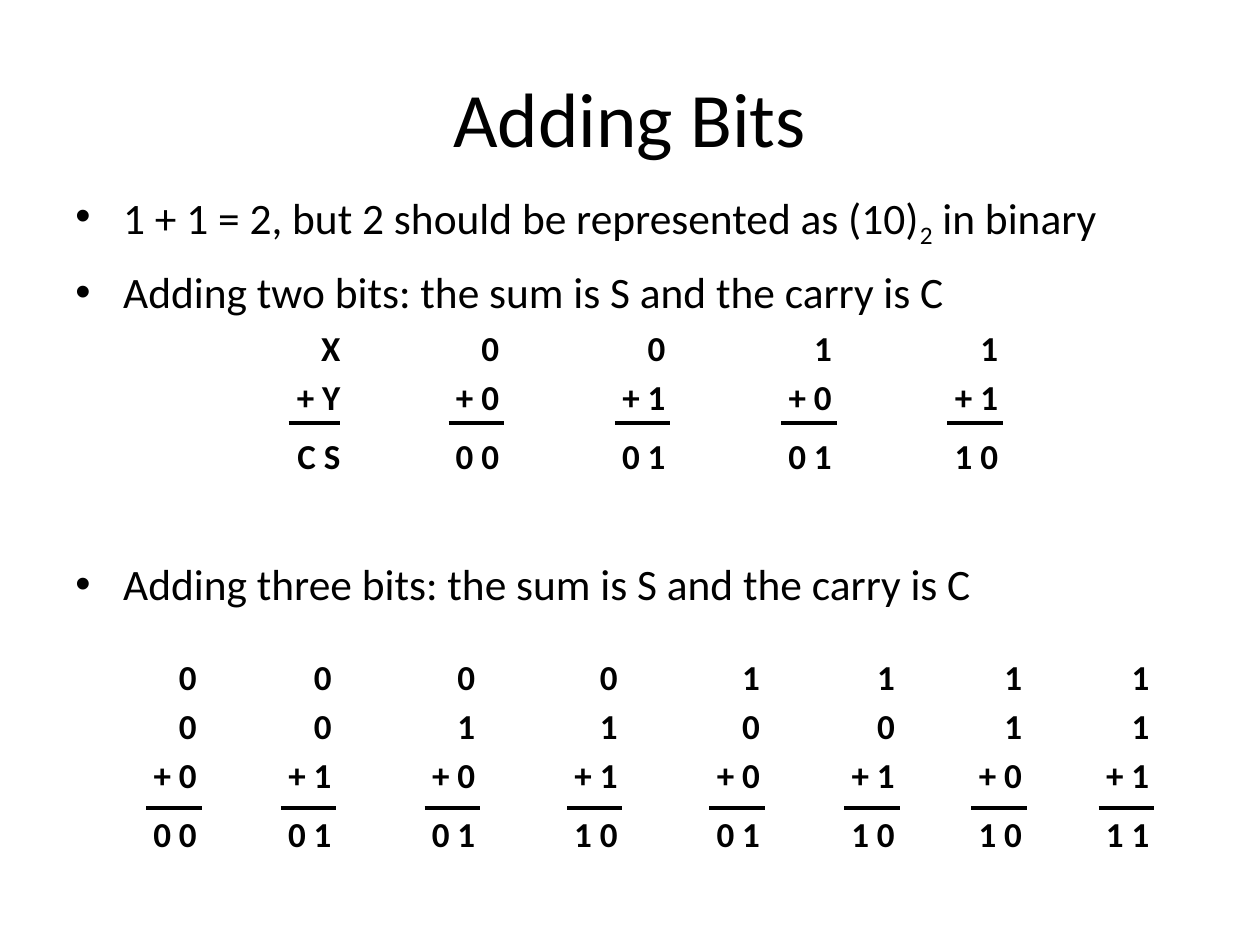
from itertools import product

from lxml.etree import SubElement
from pptx import Presentation
from pptx.dml.color import RGBColor
from pptx.enum.shapes import MSO_CONNECTOR
from pptx.enum.text import MSO_ANCHOR, PP_ALIGN
from pptx.oxml.ns import qn
from pptx.util import Inches, Pt

COLORS = {"ink": "000000", "paper": "FFFFFF"}


def add_run(p, text, size=20, bold=False, baseline=0, font="Calibri", color="ink"):
    """Append a formatted run to a paragraph."""
    r = p.add_run()
    r.text = text
    r.font.name, r.font.size, r.font.bold = font, Pt(size), bold
    r.font.color.rgb = RGBColor.from_string(COLORS[color])
    if baseline:
        r._r.get_or_add_rPr().set("baseline", str(baseline * 1000))


class Deck:
    """Hold the style and the current slide."""

    title_size, body_size, sum_size, rule_width = 44, 24.8, 20, 2.25

    def __init__(self, prs):
        self.s = prs.slides.add_slide(prs.slide_layouts[6])
        self.s.background.fill.solid()
        self.s.background.fill.fore_color.rgb = RGBColor.from_string(COLORS["paper"])

    def box(self, x, y, w, h):
        """Add a wrapping text box and return its text frame."""
        tf = self.s.shapes.add_textbox(Inches(x), Inches(y), Inches(w), Inches(h)).text_frame
        tf.word_wrap = True
        return tf

    def title(self, text, x, y, w, h):
        """Add the centred title."""
        tf = self.box(x, y, w, h)
        tf.vertical_anchor = MSO_ANCHOR.MIDDLE
        p = tf.paragraphs[0]
        p.alignment = PP_ALIGN.CENTER
        add_run(p, text, size=self.title_size)

    def bullets(self, items, x, y, w, h):
        """Add bullets given as (space before, [(text, baseline), ...])."""
        tf = self.box(x, y, w, h)
        for i, (before, runs) in enumerate(items):
            p = tf.add_paragraph() if i else tf.paragraphs[0]
            pPr = p._p.get_or_add_pPr()
            pPr.set("marL", str(Inches(0.38)))
            pPr.set("indent", str(-Inches(0.38)))
            SubElement(pPr, qn("a:buFont")).set("typeface", "Arial")
            SubElement(pPr, qn("a:buChar")).set("char", "•")
            p.line_spacing, p.space_before = 0.9, Pt(before)
            for text, baseline in runs:
                add_run(p, text, size=self.body_size, baseline=baseline)

    def rule(self, x, y, w):
        """Add a horizontal sum rule."""
        line = self.s.shapes.add_connector(
            MSO_CONNECTOR.STRAIGHT, Inches(x), Inches(y), Inches(x + w), Inches(y))
        line.line.color.rgb = RGBColor.from_string(COLORS["ink"])
        line.line.width = Pt(self.rule_width)
        SubElement(line._element.spPr, qn("a:effectLst"))

    def column_sum(self, terms, result, x, y, rule_y, w=0.63, rule_dx=0.13, rule_w=0.44):
        """Add a right-aligned column addition with its rule."""
        rows = [*terms[:-1], f"+ {terms[-1]}", result]
        tf = self.box(x, y, w, 0.49 + 0.42 * (len(rows) - 1))
        for i, text in enumerate(rows):
            p = tf.add_paragraph() if i else tf.paragraphs[0]
            p.alignment = PP_ALIGN.RIGHT
            p.space_before = Pt(0 if i == 0 else 10 if text == result else 4)
            add_run(p, text, size=self.sum_size, bold=True)
        self.rule(x + rule_dx, rule_y, rule_w)

    def bit_sums(self, count, lefts, y, rule_y):
        """Add one column addition for every combination of bits."""
        for x, bits in zip(lefts, product((0, 1), repeat=count)):
            carry, total = divmod(sum(bits), 2)
            self.column_sum([str(b) for b in bits], f"{carry} {total}", x, y, rule_y)


def main():
    """Build the slide."""
    prs = Presentation()
    prs.slide_width, prs.slide_height = Inches(10), Inches(7.5)
    deck = Deck(prs)
    deck.title("Adding Bits", 0.5, 0.3, 9, 1.25)
    deck.bullets([
        (0, [("1 + 1 = 2, but 2 should be represented as (10)", 0), ("2", -25), (" in binary", 0)]),
        (15, [("Adding two bits: the sum is S and the carry is C", 0)]),
        (140, [("Adding three bits: the sum is S and the carry is C", 0)]),
    ], 0.5, 1.47, 9, 3.53)
    deck.column_sum(["X", "Y"], "C S", 2.04, 2.54, 3.36, w=0.76, rule_dx=0.25, rule_w=0.41)
    deck.bit_sums(2, [3.43 + 1.32 * i for i in range(4)], 2.54, 3.36)
    deck.bit_sums(3, [1.03, 2.1, 3.24, 4.37, 5.5, 6.57, 7.58, 8.59], 5.15, 6.41)
    prs.save("out.pptx")


if __name__ == "__main__":
    main()
